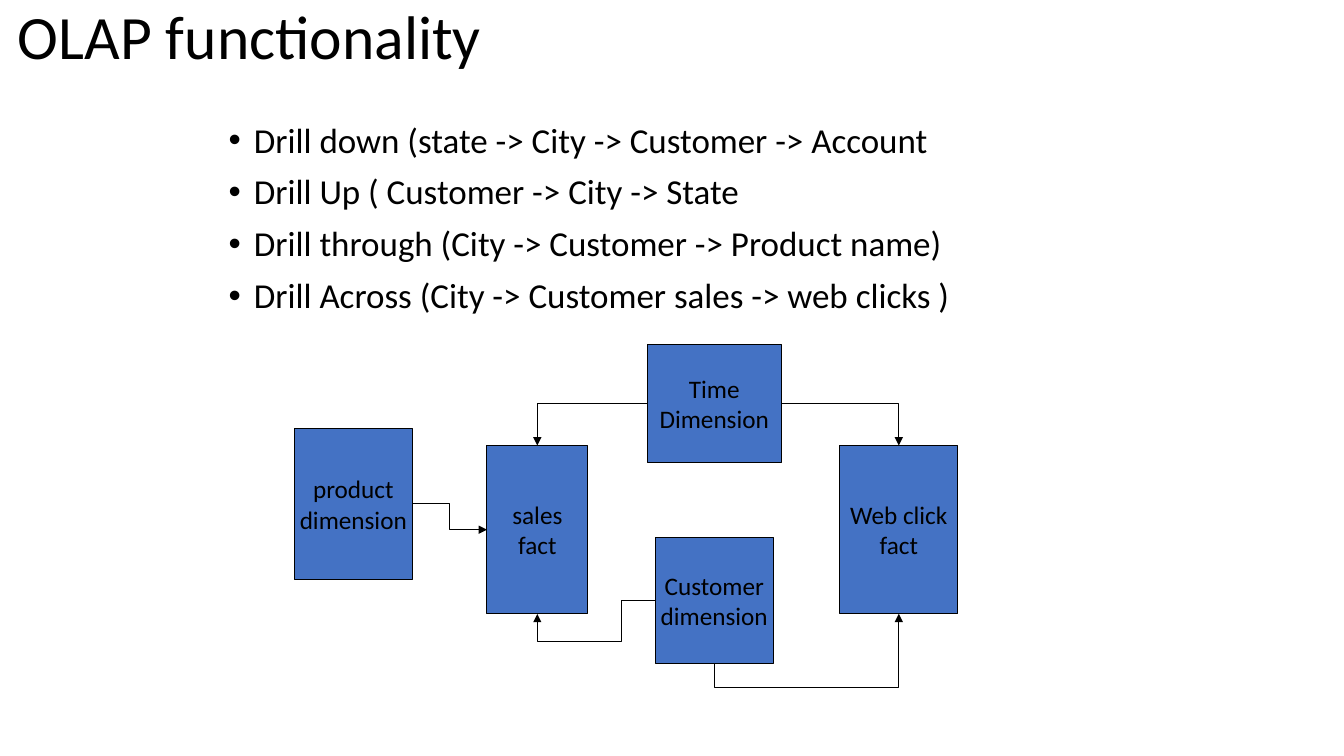
from dataclasses import dataclass

from lxml import etree
from pptx import Presentation
from pptx.dml.color import RGBColor
from pptx.enum.shapes import MSO_CONNECTOR, MSO_SHAPE
from pptx.enum.text import MSO_ANCHOR, PP_ALIGN
from pptx.oxml.ns import qn
from pptx.util import Inches, Pt

RECTANGLE = MSO_SHAPE.RECTANGLE
ELBOW = MSO_CONNECTOR.ELBOW
MIDDLE, TOP_ANCHOR = MSO_ANCHOR.MIDDLE, MSO_ANCHOR.TOP
LEFT_ALIGN, CENTER = PP_ALIGN.LEFT, PP_ALIGN.CENTER
TOP, LEFT, BOTTOM, RIGHT = range(4)  # connection sites of a rectangle

# Content
TITLE = "OLAP functionality"
OPERATIONS = [
    "Drill down (state -> City -> Customer -> Account",
    "Drill Up ( Customer -> City -> State",
    "Drill through (City -> Customer -> Product name)",
    "Drill Across (City -> Customer sales -> web clicks )",
]
# name: (lines, (left, top, width, height))
TABLES = {
    "customer": (["Customer", "dimension"], (6.5, 5.33, 1.17, 1.25)),
    "product": (["product", "dimension"], (2.92, 4.25, 1.17, 1.5)),
    "sales": (["sales", "fact"], (4.83, 4.42, 1, 1.67)),
    "time": (["Time", "Dimension"], (6.42, 3.42, 1.33, 1.17)),
    "web": (["Web click", "fact"], (8.33, 4.42, 1.17, 1.67)),
}
# from, site, to, site, bend preset, bend positions (share of the span)
RELATIONS = [
    ("product", RIGHT, "sales", LEFT, "bentConnector3", [0.5]),
    ("time", LEFT, "sales", TOP, "bentConnector2", []),
    ("customer", LEFT, "sales", BOTTOM, "bentConnector4", [0.286, 3]),
    ("time", RIGHT, "web", TOP, "bentConnector2", []),
    ("customer", BOTTOM, "web", BOTTOM, "bentConnector3", [-0.5]),
]


@dataclass(frozen=True)
class Theme:
    font: str = "Calibri"
    ink: RGBColor = RGBColor(0x00, 0x00, 0x00)
    box: RGBColor = RGBColor(0x44, 0x72, 0xC4)
    title: int = 44
    body: int = 25
    label: int = 18
    line: float = 0.75


THEME = Theme()


def write(shape, lines, size, align=LEFT_ALIGN, anchor=TOP_ANCHOR, wrap=True,
          spacing=None, gap=0, bullet_indent=None):
    frame = shape.text_frame
    frame.word_wrap = wrap
    frame.vertical_anchor = anchor
    for index, line in enumerate(lines):
        paragraph = frame.paragraphs[0] if index == 0 else frame.add_paragraph()
        paragraph.alignment = align
        if spacing:
            paragraph.line_spacing = spacing
        if index and gap:
            paragraph.space_before = Pt(gap)
        if bullet_indent:
            props = paragraph._p.get_or_add_pPr()
            props.set("marL", str(Inches(bullet_indent)))
            props.set("indent", str(-Inches(bullet_indent)))
            etree.SubElement(props, qn("a:buFont"), typeface="Arial")
            etree.SubElement(props, qn("a:buChar"), char="•")
        run = paragraph.add_run()
        run.text = line
        run.font.name = THEME.font
        run.font.size = Pt(size)
        run.font.color.rgb = THEME.ink


def add_table_box(slide, lines, place):
    box = slide.shapes.add_shape(RECTANGLE, *map(Inches, place))
    box.shadow.inherit = False
    box.fill.solid()
    box.fill.fore_color.rgb = THEME.box
    box.line.color.rgb = THEME.ink
    box.line.width = Pt(THEME.line)
    write(box, lines, THEME.label, align=CENTER, anchor=MIDDLE, wrap=False)
    return box


def add_relation(slide, source, source_site, target, target_site, preset, bends):
    arrow = slide.shapes.add_connector(ELBOW, 0, 0, 0, 0)
    arrow.begin_connect(source, source_site)
    arrow.end_connect(target, target_site)
    props = arrow._element.spPr

    # A path leaving downwards is the sideways bend turned by 270 degrees
    if source_site == BOTTOM:
        width, height = arrow.width, arrow.height
        arrow.left += (width - height) // 2
        arrow.top += (height - width) // 2
        arrow.width, arrow.height = height, width
        transform = props.find(qn("a:xfrm"))
        transform.attrib.pop("flipV", None)
        transform.set("rot", str(270 * 60000))

    # Bends
    geometry = props.find(qn("a:prstGeom"))
    geometry.set("prst", preset)
    guides = geometry.find(qn("a:avLst"))
    for number, bend in enumerate(bends, 1):
        etree.SubElement(guides, qn("a:gd"), name=f"adj{number}",
                         fmla=f"val {round(bend * 100000)}")

    # Line and arrowhead
    arrow.line.color.rgb = THEME.ink
    arrow.line.width = Pt(THEME.line)
    etree.SubElement(props.find(qn("a:ln")), qn("a:tailEnd"), type="triangle")
    etree.SubElement(props, qn("a:effectLst"))


def main():
    deck = Presentation()
    deck.slide_width, deck.slide_height = Inches(13.33), Inches(7.5)
    slide = deck.slides.add_slide(deck.slide_layouts[6])

    # Title and list of operations
    title = slide.shapes.add_textbox(*map(Inches, (0.08, 0.04, 9, 0.7)))
    write(title, [TITLE], THEME.title, anchor=MIDDLE, spacing=0.9)
    operations = slide.shapes.add_textbox(*map(Inches, (2.17, 1.17, 9.08, 4.95)))
    write(operations, OPERATIONS, THEME.body, spacing=0.9, gap=10,
          bullet_indent=0.25)

    # Star schema
    boxes = {name: add_table_box(slide, lines, place)
             for name, (lines, place) in TABLES.items()}
    for source, source_site, target, target_site, preset, bends in RELATIONS:
        add_relation(slide, boxes[source], source_site, boxes[target],
                     target_site, preset, bends)

    deck.save("out.pptx")


if __name__ == "__main__":
    main()
